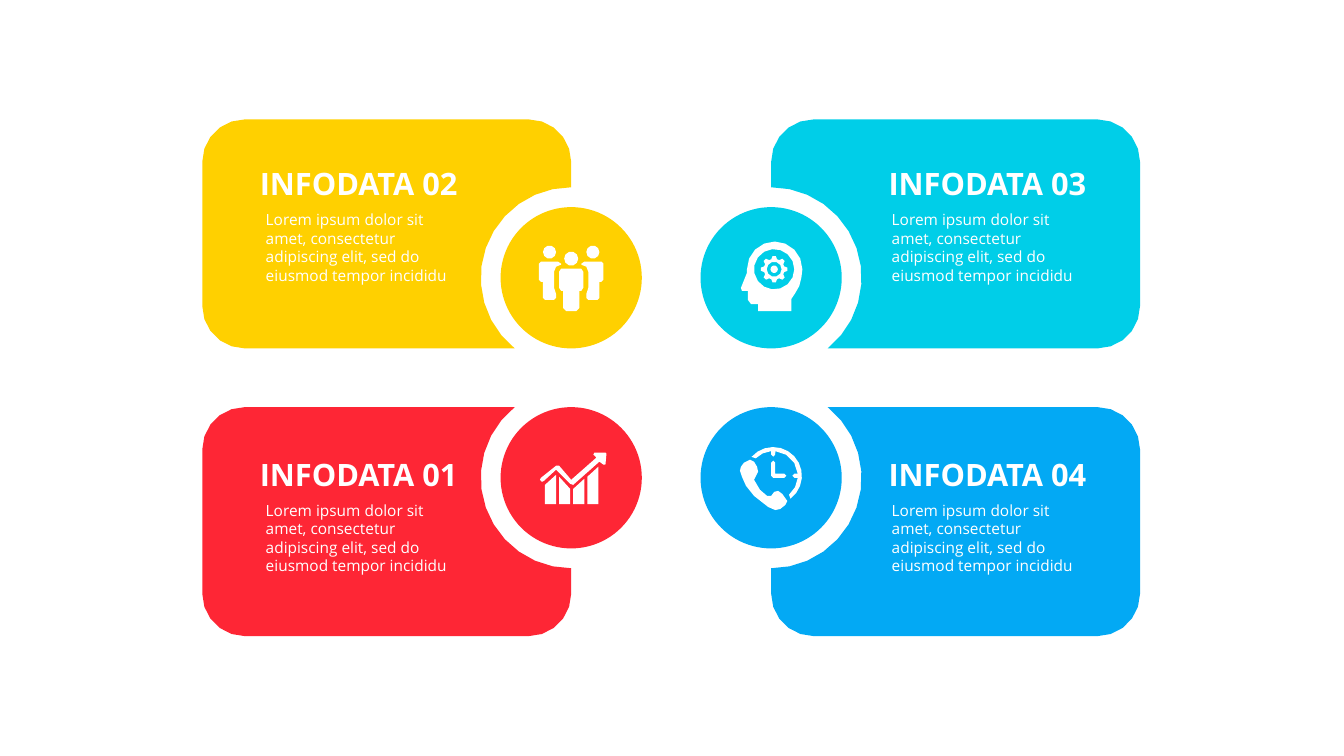
"""Build a slide of four notched cards, each with a round icon hub."""
from dataclasses import dataclass
from math import asin, cos, degrees, radians, sin

from pptx import Presentation
from pptx.dml.color import RGBColor
from pptx.enum.shapes import MSO_SHAPE
from pptx.enum.text import MSO_AUTO_SIZE
from pptx.shapes.autoshape import Shape
from pptx.slide import Slide
from pptx.util import Cm, Pt

OVAL = MSO_SHAPE.OVAL
GROW = MSO_AUTO_SIZE.SHAPE_TO_FIT_TEXT

Point = tuple[float, float]
Path = list[Point]

HUES = {"white": "FFFFFF", "yellow": "FFD000", "red": "FE2635",
        "cyan": "00CEE8", "blue": "03A9F4"}
FONT = "Open Sans"
LOREM = ("Lorem ipsum dolor sit amet, consectetur adipiscing elit, "
         "sed do eiusmod tempor incididu")

MID_X, MID_Y = 16.92, 9.52
GAP_X, GAP_Y = 2.52, 0.74
CARD_W, CARD_H = 9.3, 5.77
HUB, NOTCH, BEND = 1.78, 2.28, 1.07
STEP = 0.0254


@dataclass(frozen=True)
class Card:
    """One card: its title, hue, side of the centre, icon and text places."""
    title: str
    hue: str
    side: int
    level: int
    icon: list[Path]
    head: Point
    body: Point


def arc(x: float, y: float, size: float, start: float, end: float,
        pitch: float = 24) -> Path:
    """Return points along an arc, about one pitch of degrees apart."""
    count = max(1, round(abs(end - start) / pitch))
    turns = [radians(start + (end - start) * i / count) for i in range(count + 1)]
    return [(x + size * cos(t), y + size * sin(t)) for t in turns]


def disc(x: float, y: float, size: float) -> Path:
    """Return the outline of a full circle, coarser when small."""
    return arc(x, y, size, 0, 360, 36 if size < 10 else 24)[:-1]


def flip(path: Path) -> Path:
    """Mirror an outline from left to right."""
    return [(-x, y) for x, y in path]


def gear(x: float, y: float) -> Path:
    """Return the outline of a gear with eight teeth."""
    edge = [(-16, 10.3), (-7, 13.2), (7, 13.2), (16, 10.3)]
    return [arc(x, y, size, 45 * tooth + turn, 45 * tooth + turn)[0]
            for tooth in range(8) for turn, size in edge]


def people() -> list[Path]:
    """Return three standing people."""
    front = [(-10, -9), (10, -9), (12, -6), (12, 10), (10, 13), (8, 13), (8, 30),
             (5, 33), (-5, 33), (-8, 30), (-8, 13), (-10, 13), (-12, 10), (-12, -6)]
    back = [(30, -16), (13, -16), (10, -14), (10, -13), (15, -11), (17, -6),
            (17, 10), (15, 16), (15, 20), (17, 22), (26, 22), (28, 20), (28, 4),
            (30, 4), (32, 2), (32, -14)]
    face = disc(21.5, -25.5, 6.5)
    return [disc(0, -19, 7), front, face, back, flip(face), flip(back)]


def growth() -> list[Path]:
    """Return four bars under a rising arrow."""
    tops = [(7, -3), (-1, 11), (11, 1), (-1, -11)]
    bars = [[(x, 26), (x + 11, 26), (x + 11, right), (x, left)]
            for x, (left, right) in zip(range(-26, 30, 14), tops)]
    arrow = [(34, -25), (23, -25), (22, -23), (25, -20), (0, 2), (-12, -12),
             (-15, -12), (-30, 0), (-31, 2), (-29, 4), (-27, 3), (-15, -8),
             (-1, 6), (2, 7), (28, -16), (32, -13), (34, -13), (35, -24)]
    return bars + [arrow]


def thinker() -> list[Path]:
    """Return a head in profile with a gear inside."""
    skull = arc(3.5, -8.5, 27.5, -180, 0) + [
        (30, 0), (28, 8), (24, 15), (20, 21), (20, 33), (-13, 33), (-13, 26),
        (-20, 26), (-23, 22), (-23, 13), (-29, 13), (-30, 10), (-24, -5)]
    holes = [disc(3, -8.5, size) for size in (20, 7.4, 3.7)]
    return [skull, gear(3, -8.5)] + holes


def phone() -> list[Path]:
    """Return a handset in front of a clock."""
    handset = [(-30, -11), (-27, -15), (-21, -18), (-17, -16), (-14, -11),
               (-13, -6), (-17, 2), (-11, 12), (-4, 18), (0, 18), (3, 14),
               (7, 13), (11, 16), (16, 23), (14, 27), (9, 31), (4, 32),
               (-3, 29), (-17, 18), (-25, 8), (-29, -1), (-31, -7)]
    hands = [(13, -4), (4, -4), (4, -15), (2, -17), (0, -15), (0, -2), (2, 0),
             (13, 0), (15, -2)]
    dial = (arc(2, -2, 28.5, -139, 53, 16) + arc(2, -2, 24.5, 50, 5)
            + [(23, 0), (21, -2), (23, -4)] + arc(2, -2, 24.5, -5, -85)
            + [(4, -23), (2, -21), (0, -23)] + arc(2, -2, 24.5, -95, -135))
    return [handset, hands, dial]


def panel() -> Path:
    """Return a card outline, measured outward from the slide centre."""
    cut = degrees(asin(HUB / NOTCH))
    right, far = CARD_W - BEND, CARD_H - BEND
    bends = [(right, BEND, -90), (right, far, 0), (BEND, far, 90)]
    return arc(0, HUB, NOTCH, 90, -cut, 12) + [
        spot for x, y, turn in bends for spot in arc(x, y, BEND, turn, turn + 90, 18)]


def paint(shape: Shape, hue: str) -> None:
    """Give a shape a flat fill with no line or shadow."""
    shape.shadow.inherit = False
    shape.fill.solid()
    shape.fill.fore_color.rgb = RGBColor.from_string(HUES[hue])
    shape.line.fill.background()


def trace(slide: Slide, paths: list[Path], base: Point, scale: Point, hue: str) -> None:
    """Draw outlines as one shape, scaled about a base point."""
    spots = [[(Cm(base[0] + x * scale[0]), Cm(base[1] + y * scale[1]))
              for x, y in path] for path in paths]
    pen = slide.shapes.build_freeform(*spots[0][0])
    pen.add_line_segments(spots[0][1:])
    for path in spots[1:]:
        pen.move_to(*path[0])
        pen.add_line_segments(path[1:])
    paint(pen.convert_to_shape(), hue)


def write(slide: Slide, text: str, place: Point, size: Point, points: int,
          bold: bool) -> None:
    """Add white text; a bold heading has no margins and does not wrap."""
    frame = slide.shapes.add_textbox(*map(Cm, place + size)).text_frame
    frame.word_wrap = not bold
    frame.auto_size = GROW
    if bold:
        frame.margin_left = frame.margin_right = 0
        frame.margin_top = frame.margin_bottom = 0
    line = frame.paragraphs[0]
    line.text = text
    line.font.name = FONT
    line.font.size = Pt(points)
    line.font.bold = bold
    line.font.color.rgb = RGBColor.from_string(HUES["white"])


def draw(slide: Slide, card: Card) -> None:
    """Draw one card with its hub, icon and text."""
    x = MID_X + card.side * GAP_X
    edge = MID_Y + card.level * GAP_Y
    y = edge + card.level * HUB
    hub = slide.shapes.add_shape(OVAL, Cm(x - HUB), Cm(y - HUB),
                                 Cm(2 * HUB), Cm(2 * HUB))
    paint(hub, card.hue)
    trace(slide, card.icon, (x, y), (STEP, STEP), "white")
    trace(slide, [panel()], (x, edge), (card.side, card.level), card.hue)
    write(slide, card.title, card.head, (5.11, 0.94), 22, True)
    write(slide, LOREM, card.body, (5.49, 2.13), 11, False)


def main() -> None:
    """Build and save the slide."""
    deck = Presentation()
    deck.slide_width, deck.slide_height = Cm(33.88), Cm(19.05)
    slide = deck.slides.add_slide(deck.slide_layouts[6])
    cards = [
        Card("INFODATA 02", "yellow", -1, -1, people(), (6.55, 4.14), (6.45, 5.18)),
        Card("INFODATA 01", "red", -1, 1, growth(), (6.55, 11.48), (6.45, 12.5)),
        Card("INFODATA 03", "cyan", 1, -1, thinker(), (22.4, 4.14), (22.23, 5.18)),
        Card("INFODATA 04", "blue", 1, 1, phone(), (22.4, 11.48), (22.23, 12.5)),
    ]
    for card in cards:
        draw(slide, card)
    deck.save("out.pptx")


if __name__ == "__main__":
    main()
